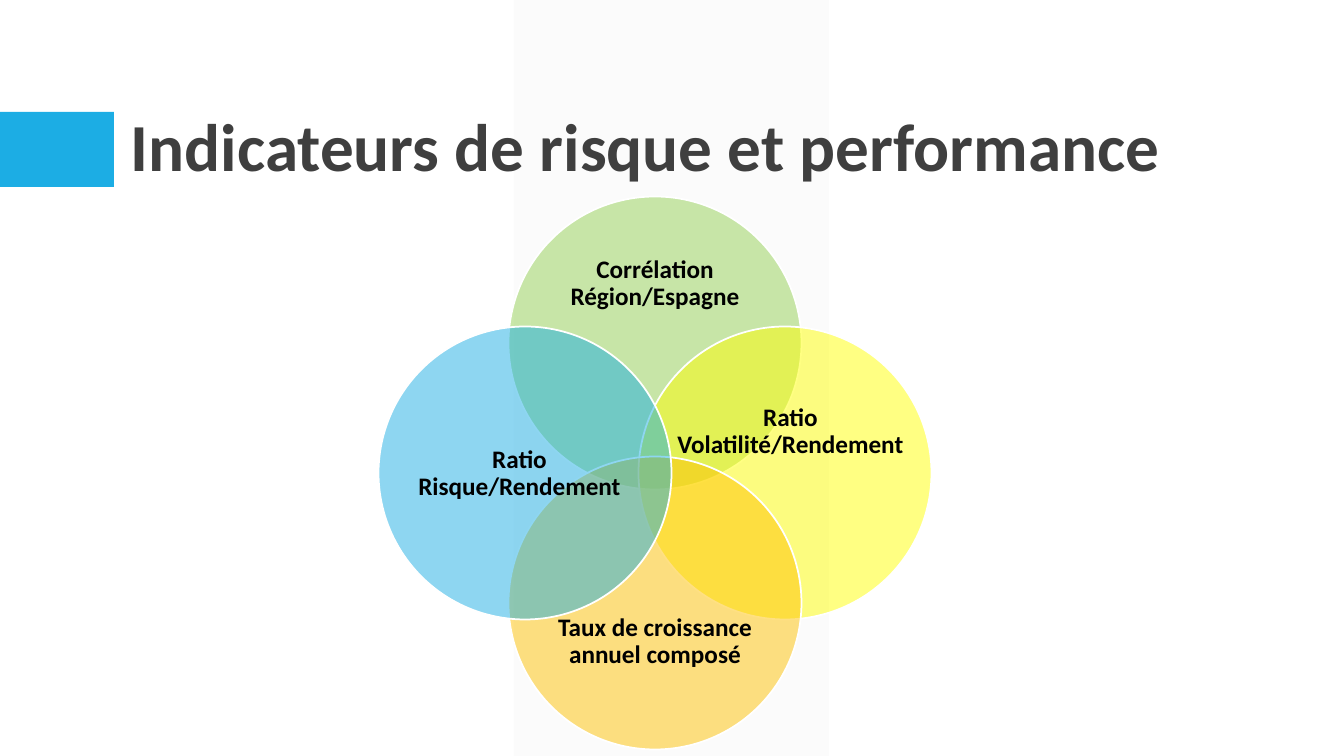
from lxml import etree
from pptx import Presentation
from pptx import util as u
from pptx.dml.color import RGBColor
from pptx.enum import shapes, text
from pptx.oxml.ns import qn

# Content
WHITE = RGBColor(0xFF, 0xFF, 0xFF)
BLACK = RGBColor(0, 0, 0)
BAND = RGBColor(0xF2, 0xF2, 0xF2)
ACCENT = RGBColor(0x1C, 0xAD, 0xE4)
TITLE_GREY = RGBColor(0x3F, 0x3F, 0x3F)
GREEN = RGBColor(0x92, 0xD0, 0x50)
YELLOW = RGBColor(0xFF, 0xFF, 0x00)
ORANGE = RGBColor(0xFF, 0xC0, 0x00)
BLUE = RGBColor(0x19, 0xAC, 0xE4)

TITLE = "Indicateurs de risque et performance"
# Direction from the centre (x, y), colour, paragraphs, label box in px
CIRCLES = [
    ((0, -1), GREEN, ["Corrélation", "Région/Espagne"], (542, 237, 226, 93)),
    ((1, 0), YELLOW, ["Ratio Volatilité/Rendement"], (672, 319, 237, 226)),
    ((0, 1), ORANGE, ["Taux de croissance annuel composé"], (542, 595, 226, 93)),
    ((-1, 0), BLUE, ["Ratio Risque/Rendement"], (401, 361, 237, 226)),
]

# Layout in px
SCALE = 914400 / 100.8
WIDTH, HEIGHT = 1344, 756
CENTRE_X, CENTRE_Y = 655, 473
DIAMETER, OFFSET = 293, 130


def px(n):
    return u.Emu(round(n * SCALE))


prs = Presentation()
prs.slide_width, prs.slide_height = px(WIDTH), px(HEIGHT)
s = prs.slides.add_slide(prs.slide_layouts[6])


def add_filled(kind, box, color, opacity=100, line=None):
    sp = s.shapes.add_shape(kind, *map(px, box))
    sp.shadow.inherit = False
    sp.fill.solid()
    sp.fill.fore_color.rgb = color
    if opacity < 100:
        clr = sp.fill._xPr.find(qn("a:solidFill"))[0]
        etree.SubElement(clr, qn("a:alpha")).set("val", str(opacity * 1000))
    if line is None:
        sp.line.fill.background()
    else:
        sp.line.color.rgb = line
        sp.line.width = u.Pt(1.25)
    return sp


def add_text(paragraphs, box, size, color, align, anchor, inset=(0, 0)):
    tf = s.shapes.add_textbox(*map(px, box)).text_frame
    tf.word_wrap = True
    tf.vertical_anchor = anchor
    tf.margin_left = tf.margin_right = px(inset[0])
    tf.margin_top = tf.margin_bottom = px(inset[1])
    for i, line in enumerate(paragraphs):
        p = tf.paragraphs[0] if i == 0 else tf.add_paragraph()
        p.alignment = align
        p.line_spacing = 0.9
        r = p.add_run()
        r.text = line
        r.font.name = "Calibri"
        r.font.size = u.Pt(size)
        r.font.bold = True
        r.font.color.rgb = color


# Background band and accent block
band = add_filled(shapes.MSO_SHAPE.PARALLELOGRAM, (514, 0, 315, HEIGHT), BAND, opacity=29)
band.adjustments[0] = 0
add_filled(shapes.MSO_SHAPE.RECTANGLE, (0, 112, 114, 75), ACCENT)

# Title
add_text([TITLE], (121, 31, 1109, 160), size=48, color=TITLE_GREY,
         align=text.PP_ALIGN.LEFT, anchor=text.MSO_ANCHOR.BOTTOM, inset=(10, 5))

# Overlapping circles with their labels
for (dx, dy), color, paragraphs, label_box in CIRCLES:
    left = CENTRE_X + dx * OFFSET - DIAMETER / 2
    top = CENTRE_Y + dy * OFFSET - DIAMETER / 2
    add_filled(shapes.MSO_SHAPE.OVAL, (left, top, DIAMETER, DIAMETER), color,
               opacity=49, line=WHITE)
    add_text(paragraphs, label_box, size=18, color=BLACK,
             align=text.PP_ALIGN.CENTER, anchor=text.MSO_ANCHOR.MIDDLE)

prs.save("out.pptx")
